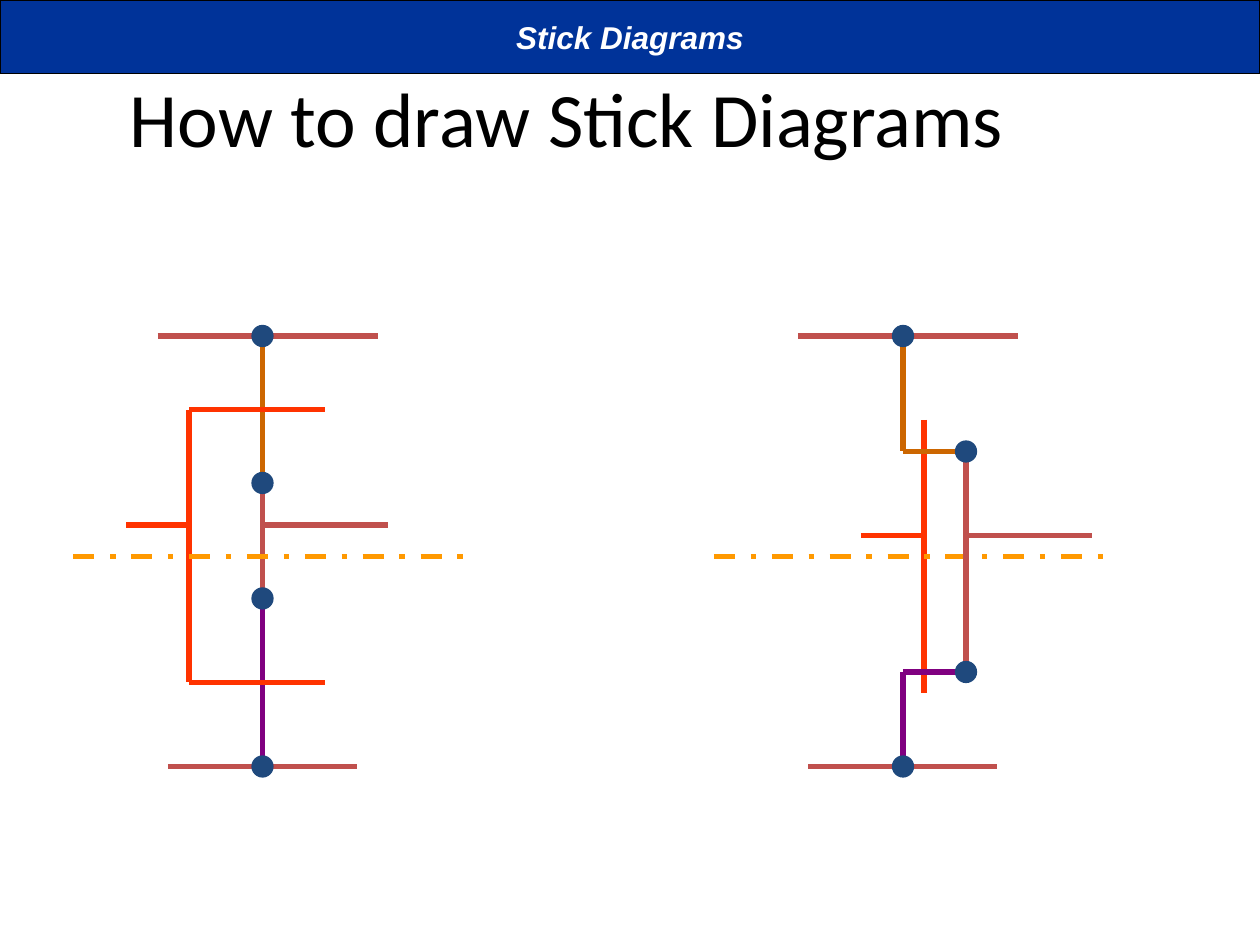
"""Build the slide on how to draw stick diagrams."""
import pptx
import pptx.util
import pptx.dml.color
import pptx.enum.dml
import pptx.enum.shapes
import pptx.enum.text
import pptx.oxml.xmlchemy

CELL = pptx.util.Inches(1) / 12
SHIFT = 61
INK = {"metal": "C0504D", "poly": "FF3300", "pmos": "CC6600",
       "nmos": "800080", "well": "FF9900", "dot": "1F497D"}
RAILS = [("metal", 15, 32, 36, 32), ("metal", 16, 73, 34, 73)]
WELL = ("well", 7, 53, 45, 53)
LEFT = [("pmos", 25, 32, 25, 46), *RAILS, ("nmos", 25, 57, 25, 73),
        ("metal", 25, 46, 25, 57), ("poly", 18, 39, 31, 39),
        ("poly", 18, 65, 31, 65), ("poly", 18, 39, 18, 65),
        ("poly", 12, 50, 18, 50), WELL, ("metal", 25, 50, 37, 50)]
RIGHT = [("nmos", 25, 64, 25, 73), ("pmos", 25, 32, 25, 43), *RAILS,
         ("poly", 27, 40, 27, 66), ("poly", 21, 51, 27, 51), WELL,
         ("nmos", 25, 64, 31, 64), ("pmos", 25, 43, 31, 43),
         ("metal", 31, 43, 31, 64), ("metal", 31, 51, 43, 51)]
LEFT_DOTS = [(25, 32), (25, 46), (25, 57), (25, 73)]
RIGHT_DOTS = [(25, 32), (25, 73), (31, 43), (31, 64)]


def grid(*cells):
    """Turn counts of grid cells into lengths."""
    return [round(n * CELL) for n in cells]


def tint(code):
    """Turn a hex string into a colour."""
    return pptx.dml.color.RGBColor.from_string(code)


def write(shape, text, size, font, color, bold=False, slant=False, wrap=True):
    """Put centred, formatted text in a shape."""
    frame = shape.text_frame
    frame.word_wrap = wrap
    frame.vertical_anchor = pptx.enum.text.MSO_ANCHOR.MIDDLE
    para = frame.paragraphs[0]
    para.alignment = pptx.enum.text.PP_ALIGN.CENTER
    run = para.add_run()
    run.text = text
    run.font.size = pptx.util.Pt(size)
    run.font.name = font
    run.font.bold = bold
    run.font.italic = slant
    run.font.color.rgb = tint(color)


def solid(shapes, kind, box, fill, edge):
    """Add a filled preset shape with a thin edge."""
    shape = shapes.add_shape(kind, *box)
    shape.shadow.inherit = False
    shape.fill.solid()
    shape.fill.fore_color.rgb = tint(fill)
    shape.line.color.rgb = tint(edge)
    shape.line.width = pptx.util.Pt(0.75)
    return shape


def wire(shapes, layer, ends):
    """Add one stick in the colour of its layer."""
    kind = pptx.enum.shapes.MSO_CONNECTOR.STRAIGHT
    stick = shapes.add_connector(kind, *grid(*ends))
    stick.line.color.rgb = tint(INK[layer])
    stick.line.width = pptx.util.Pt(3)
    if layer == "well":
        stick.line.dash_style = pptx.enum.dml.MSO_LINE.DASH_DOT
    props = stick.element.spPr
    props.append(pptx.oxml.xmlchemy.OxmlElement("a:effectLst"))


def draw(shapes, wires, dots, shift=0):
    """Draw one diagram, moved right by some columns."""
    for layer, x, y, end, foot in wires:
        wire(shapes, layer, (x + shift, y, end + shift, foot))
    oval = pptx.enum.shapes.MSO_SHAPE.OVAL
    for x, y in dots:
        box = grid(x + shift - 1, y - 1, 2, 2)
        solid(shapes, oval, box, INK["dot"], INK["dot"])


def main():
    """Build and save the slide."""
    deck = pptx.Presentation()
    deck.slide_width, deck.slide_height = grid(120, 90)
    slide = deck.slides.add_slide(deck.slide_layouts[5])
    shapes = slide.shapes
    title = shapes.title
    title.left, title.top, title.width, title.height = grid(0, 3.6, 108, 15)
    write(title, "How to draw Stick Diagrams", 44, "Calibri", "000000")
    draw(shapes, LEFT, LEFT_DOTS)
    rect = pptx.enum.shapes.MSO_SHAPE.RECTANGLE
    banner = solid(shapes, rect, grid(0, 0, 120, 7), "003399", "000000")
    write(banner, "Stick Diagrams", 18, "Arial", "FFFFFF",
          bold=True, slant=True, wrap=False)
    draw(shapes.add_group_shape().shapes, RIGHT, RIGHT_DOTS, SHIFT)
    deck.save("out.pptx")


if __name__ == "__main__":
    main()
